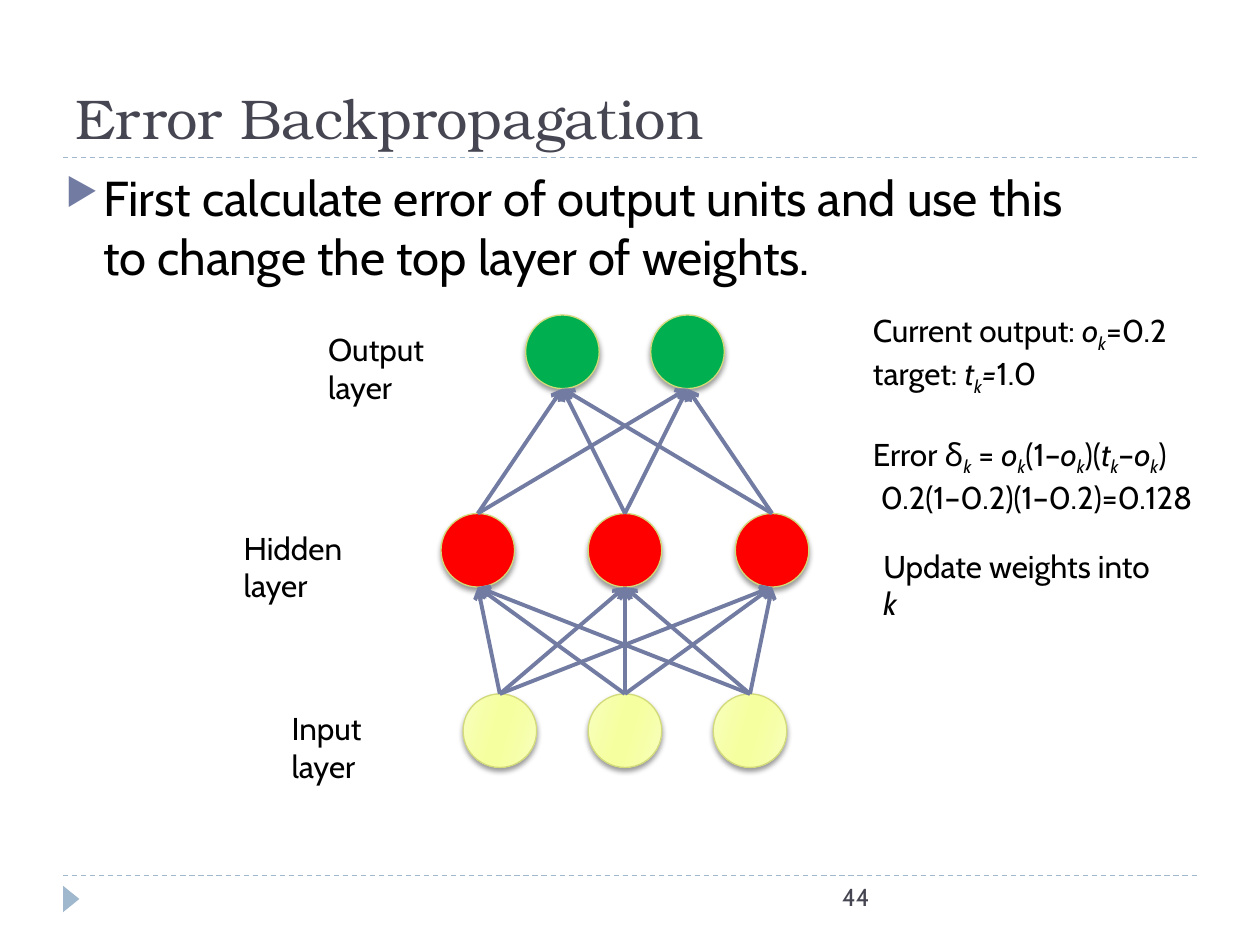
from collections import namedtuple

from lxml import etree
from pptx import Presentation, util as u
from pptx.dml import color
from pptx.enum import dml, shapes, text
from pptx.oxml import ns, parse_xml

Box = namedtuple("Box", "left top width height")
Layer = namedtuple("Layer", "label label_left label_width top pitch count fill")

BODY_FONT, TITLE_FONT = "Cabin", "TeX Gyre Bonum"
BLACK, SLATE, INDIGO, PALE_BLUE = "000000", "464653", "727CA3", "9FB8CD"
RIM = "D2DA7A"
GLOW = [(0, "F8FEC2"), (30, "F6FFA7"), (45, "F6FF9F"),
        (55, "F6FF9F"), (73, "F6FFA7"), (100, "F8FEC2")]

LAYERS = [  # shares of the network's box, from top to bottom
    Layer("Output layer", -0.34, 0.5, 0, 0.34, 2, "00B050"),
    Layer("Hidden layer", -0.57, 0.5, 0.44, 0.4, 3, "FF0000"),
    Layer("Input layer", -0.44, 0.44, 0.84, 0.34, 3, GLOW),
]


def rgb(value):
    return color.RGBColor.from_string(value)


def inches(*lengths):
    return [u.Inches(length) for length in lengths]


def within(box, left, top, width, height):
    """Box given as shares of another box."""
    return Box(box.left + left * box.width, box.top + top * box.height,
               width * box.width, height * box.height)


def add_run(paragraph, words, size, ink=BLACK, font=BODY_FONT, style=""):
    """Style letters: i for italic, s for subscript."""
    run = paragraph.add_run()
    run.text = words
    run.font.size, run.font.name = u.Pt(size), font
    run.font.color.rgb = rgb(ink)
    if "i" in style:
        run.font.italic = True
    if "s" in style:
        run.font._element.set("baseline", "-25000")


def add_text_frame(slide, box):
    frame = slide.shapes.add_textbox(*inches(*box)).text_frame
    frame.word_wrap = True
    return frame


def add_line(slide, start, end, ink, width):
    line = slide.shapes.add_connector(
        shapes.MSO_CONNECTOR.STRAIGHT, *inches(*start, *end))
    line.line.color.rgb, line.line.width = rgb(ink), u.Pt(width)
    etree.SubElement(line._element.spPr, ns.qn("a:effectLst"))
    return line


def add_rule(slide, box, top):
    left, right = box.width * 0.05, box.width * 0.95
    rule = add_line(slide, (left, top), (right, top), PALE_BLUE, 0.75)
    rule.line.dash_style = dml.MSO_LINE.DASH


def add_arrow(slide, start, end):
    arrow = add_line(slide, start, end, INDIGO, 2.25)
    etree.SubElement(arrow.line._get_or_add_ln(), ns.qn("a:tailEnd"), type="arrow")
    return arrow


def fill_gradient(shape, stops, angle):
    shape.fill.gradient()
    shape.fill.gradient_angle = -angle % 360
    stop_list = shape._element.spPr.find(".//" + ns.qn("a:gsLst"))
    for stop in list(stop_list):
        stop_list.remove(stop)
    for position, ink in stops:
        stop = etree.SubElement(stop_list, ns.qn("a:gs"), pos=str(position * 1000))
        etree.SubElement(stop, ns.qn("a:srgbClr"), val=ink)


def add_unit(slide, box, fill):
    unit = slide.shapes.add_shape(shapes.MSO_SHAPE.OVAL, *inches(*box))
    if isinstance(fill, str):
        unit.fill.solid()
        unit.fill.fore_color.rgb = rgb(fill)
    else:
        fill_gradient(unit, fill, 16)
    unit.line.color.rgb, unit.line.width = rgb(RIM), u.Pt(0.75)
    unit._element.spPr.append(parse_xml(
        f'<a:effectLst {ns.nsdecls("a")}>'
        f'<a:outerShdw blurRad="{u.Pt(3)}" dist="{u.Pt(2)}" dir="5400000" rotWithShape="0">'
        '<a:srgbClr val="000000"><a:alpha val="40000"/></a:srgbClr>'
        '</a:outerShdw></a:effectLst>'))
    return unit


def add_network(slide, box):
    """Rows of units, each joined to every unit of the row above."""
    diameter = box.width * 0.2
    middle = box.left + box.width / 2
    rows = []
    for layer in LAYERS:
        top = box.top + layer.top * box.height
        centres = [middle + (i - (layer.count - 1) / 2) * layer.pitch * box.width
                   for i in range(layer.count)]
        rows.append([(x, top, add_unit(slide, Box(x - diameter / 2, top, diameter, diameter),
                                       layer.fill)) for x in centres])
        label = within(box, layer.label_left, layer.top + 0.02, layer.label_width, 0.19)
        add_run(add_text_frame(slide, label).paragraphs[0], layer.label, 18)
    for upper, lower in zip(rows, rows[1:]):
        for end_x, end_top, _ in upper:
            for start_x, start_top, unit in lower:
                arrow = add_arrow(slide, (start_x, start_top), (end_x, end_top + diameter))
                arrow.begin_connect(unit, 0)


def add_formulas(slide, box):
    o, t = ([(name, "i"), ("k", "is")] for name in "ot")
    lines = [
        [("Current output: ", ""), *o, ("=0.2", "")],
        [("target: ", ""), *t, ("=", "i"), ("1.0", "")],
        [("Error δ", ""), ("k", "is"), (" = ", ""), *o, ("(1–", ""), *o,
         (")(", ""), *t, ("–", ""), *o, (")", "")],
        [("0.2(1–0.2)(1–0.2)=0.128", "")],
    ]
    frame = add_text_frame(slide, within(box, 0, 0, 1, 0.71))
    frame.word_wrap = False
    for number, line in enumerate(lines):
        paragraph = frame.paragraphs[0] if number == 0 else frame.add_paragraph()
        for words, style in line:
            add_run(paragraph, words, 18, style=style)
    error, result = frame.paragraphs[2:]
    error.space_before = u.Pt(21.5)
    result._p.get_or_add_pPr().set("marL", str(u.Inches(0.06)))

    update = add_text_frame(slide, within(box, 0.03, 0.82, 0.87, 0.18)).paragraphs[0]
    add_run(update, "Update weights into ", 18)
    add_run(update, "k", 18, style="i")


def add_heading(slide, box):
    title = slide.shapes.title
    title.left, title.top, title.width, title.height = inches(*box)
    frame = title.text_frame
    frame.vertical_anchor = text.MSO_ANCHOR.BOTTOM
    paragraph = frame.paragraphs[0]
    paragraph.alignment = text.PP_ALIGN.LEFT
    add_run(paragraph, "Error Backpropagation", 32, SLATE, TITLE_FONT)


def add_statement(slide, box):
    paragraph = add_text_frame(slide, box).paragraphs[0]
    properties = paragraph._p.get_or_add_pPr()
    properties.set("marL", str(u.Inches(0.3)))
    properties.set("indent", str(-u.Inches(0.3)))
    bullet_ink = etree.SubElement(properties, ns.qn("a:buClr"))
    etree.SubElement(bullet_ink, ns.qn("a:srgbClr"), val=INDIGO)
    etree.SubElement(properties, ns.qn("a:buSzPct"), val="76000")
    etree.SubElement(properties, ns.qn("a:buChar"), char="▶")
    add_run(paragraph, "First calculate error of output units and use this "
                       "to change the top layer of weights.", 28)


def add_footer(slide, box):
    add_rule(slide, box, box.top)
    marker = slide.shapes.add_shape(
        shapes.MSO_SHAPE.ISOSCELES_TRIANGLE, *inches(0.46, box.top + 0.12, 0.21, 0.13))
    marker.rotation = 90
    marker.shadow.inherit = False
    marker.fill.solid()
    marker.fill.fore_color.rgb = rgb(PALE_BLUE)
    marker.line.fill.background()
    number = add_text_frame(slide, within(box, 0.32, 0, 0.38, 0.73)).paragraphs[0]
    number.alignment = text.PP_ALIGN.RIGHT
    add_run(number, "44", 14, SLATE)


def main():
    presentation = Presentation()
    presentation.slide_width, presentation.slide_height = inches(10, 7.5)
    slide = presentation.slides.add_slide(presentation.slide_layouts.get_by_name("Title Only"))
    page = Box(0, 0, 10, 7.5)
    add_footer(slide, Box(0, 6.95, page.width, 0.55))
    add_rule(slide, page, 1.25)
    add_heading(slide, Box(0.5, 0.17, 9, 1.08))
    add_statement(slide, Box(0.42, 1.28, 8.5, 1.22))
    add_formulas(slide, Box(6.83, 2.42, 2.75, 2.28))
    add_network(slide, Box(3.5, 2.5, 2.92, 3.58))
    presentation.save("out.pptx")


if __name__ == "__main__":
    main()
